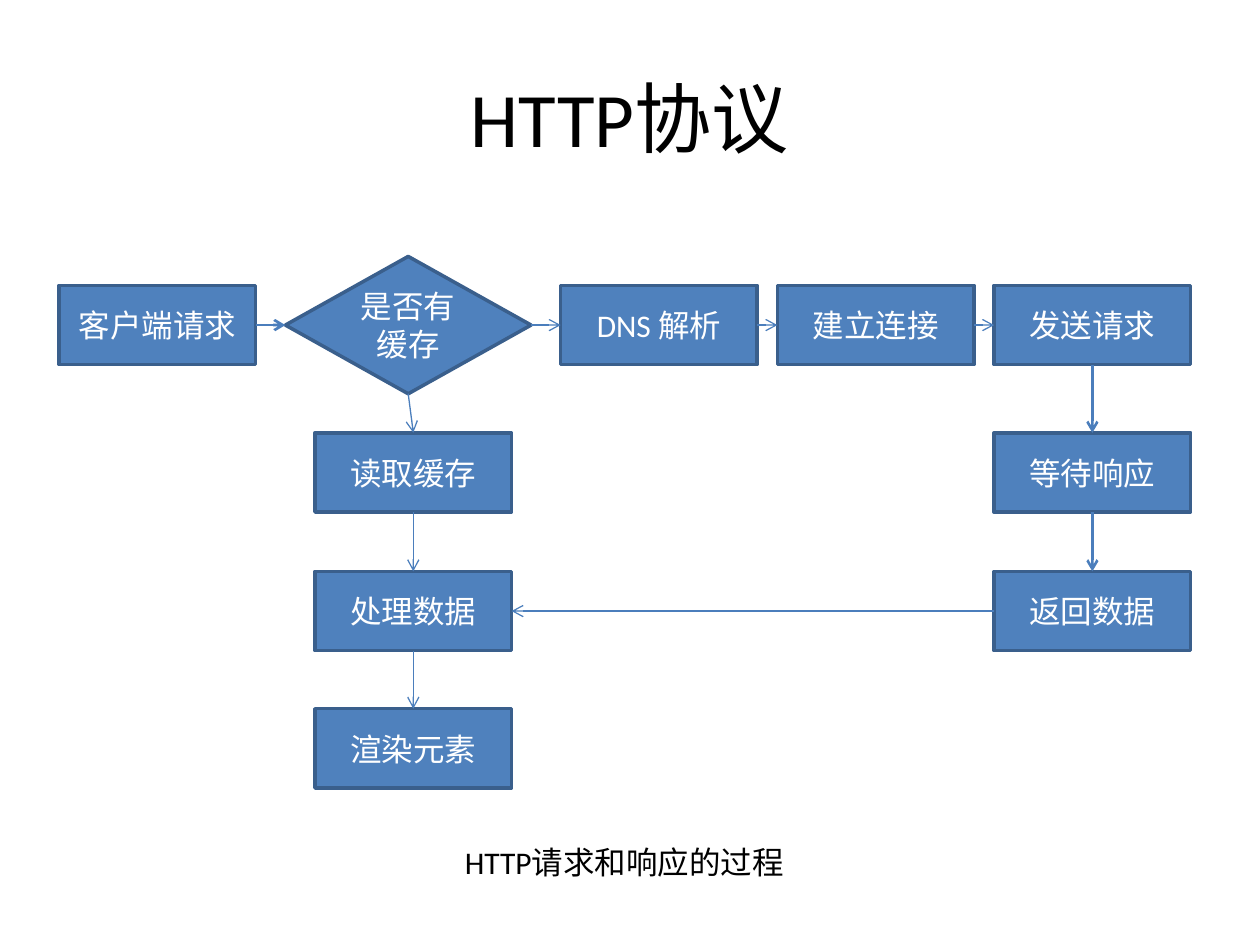
from lxml.etree import SubElement
from pptx import Presentation
from pptx.dml.color import RGBColor
from pptx.enum.shapes import MSO_CONNECTOR, MSO_SHAPE
from pptx.enum.text import MSO_ANCHOR, PP_ALIGN
from pptx.oxml.ns import qn
from pptx.util import Inches, Pt

TITLE = "HTTP协议"
CAPTION = "HTTP请求和响应的过程"
COLORS = {"fill": "4F81BD", "border": "3A5F8C", "arrow": "4B7EBC",
          "light": "FFFFFF", "dark": "000000"}
FONT = "Calibri"

# Centres of the grid's columns and rows, in inches
COLUMNS = {"client": 1.25, "decision": 3.24, "cache": 3.28,
           "dns": 5.23, "connect": 6.95, "send": 8.67}
ROWS = [2.58, 3.75, 4.85, 5.94]
BOX = (MSO_SHAPE.RECTANGLE, 1.56, 0.63)
DECISION = (MSO_SHAPE.DIAMOND, 1.95, 1.09)

# text, column, row, form
STEPS = [
    ("客户端请求", "client", 0, BOX),
    ("是否有缓存", "decision", 0, DECISION),
    ("DNS 解析", "dns", 0, BOX),
    ("建立连接", "connect", 0, BOX),
    ("发送请求", "send", 0, BOX),
    ("等待响应", "send", 1, BOX),
    ("返回数据", "send", 2, BOX),
    ("读取缓存", "cache", 1, BOX),
    ("处理数据", "cache", 2, BOX),
    ("渲染元素", "cache", 3, BOX),
]

TOP, LEFT, BOTTOM, RIGHT = range(4)
THIN, THICK = 0.75, 1.5
# from, side, to, side, line width
ARROWS = [
    ("客户端请求", RIGHT, "是否有缓存", LEFT, THICK),
    ("是否有缓存", RIGHT, "DNS 解析", LEFT, THIN),
    ("DNS 解析", RIGHT, "建立连接", LEFT, THIN),
    ("建立连接", RIGHT, "发送请求", LEFT, THIN),
    ("发送请求", BOTTOM, "等待响应", TOP, THICK),
    ("等待响应", BOTTOM, "返回数据", TOP, THICK),
    ("返回数据", LEFT, "处理数据", RIGHT, THIN),
    ("是否有缓存", BOTTOM, "读取缓存", TOP, THIN),
    ("读取缓存", BOTTOM, "处理数据", TOP, THIN),
    ("处理数据", BOTTOM, "渲染元素", TOP, THIN),
]


def rgb(name):
    return RGBColor.from_string(COLORS[name])


def write(shape, text, size, color, align):
    frame = shape.text_frame
    frame.word_wrap = True
    frame.vertical_anchor = MSO_ANCHOR.MIDDLE
    paragraph = frame.paragraphs[0]
    paragraph.text = text
    paragraph.alignment = align
    for name, value in {"size": Pt(size), "name": FONT}.items():
        setattr(paragraph.font, name, value)
    paragraph.font.color.rgb = rgb(color)


def add_step(shapes, text, column, row, form):
    preset, width, height = form
    step = shapes.add_shape(
        preset, Inches(COLUMNS[column] - width / 2),
        Inches(ROWS[row] - height / 2), Inches(width), Inches(height))
    step.shadow.inherit = False
    step.fill.solid()
    step.fill.fore_color.rgb = rgb("fill")
    step.line.color.rgb = rgb("border")
    step.line.width = Pt(2)
    write(step, text, 18, "light", PP_ALIGN.CENTER)
    return step


def add_arrow(shapes, start, start_side, end, end_side, width):
    arrow = shapes.add_connector(
        MSO_CONNECTOR.STRAIGHT, start.left, start.top, end.left, end.top)
    arrow.begin_connect(start, start_side)
    arrow.end_connect(end, end_side)
    arrow.line.color.rgb = rgb("arrow")
    arrow.line.width = Pt(width)
    SubElement(arrow.line._get_or_add_ln(), qn("a:tailEnd"), type="arrow")
    SubElement(arrow._element.spPr, qn("a:effectLst"))


def main():
    deck = Presentation()
    deck.slide_width, deck.slide_height = Inches(10), Inches(7.5)
    slide = deck.slides.add_slide(deck.slide_layouts[5])

    title = slide.shapes.title
    title.left, title.top = Inches(0.5), Inches(0.3)
    title.width, title.height = Inches(9), Inches(1.25)
    write(title, TITLE, 44, "dark", PP_ALIGN.CENTER)

    flow = slide.shapes.add_group_shape().shapes
    steps = {step[0]: add_step(flow, *step) for step in STEPS}
    for start, start_side, end, end_side, width in ARROWS:
        add_arrow(flow, steps[start], start_side, steps[end], end_side, width)

    caption = flow.add_textbox(
        Inches(3.59), Inches(6.64), Inches(3.05), Inches(0.4))
    write(caption, CAPTION, 18, "dark", PP_ALIGN.LEFT)

    deck.save("out.pptx")


if __name__ == "__main__":
    main()
